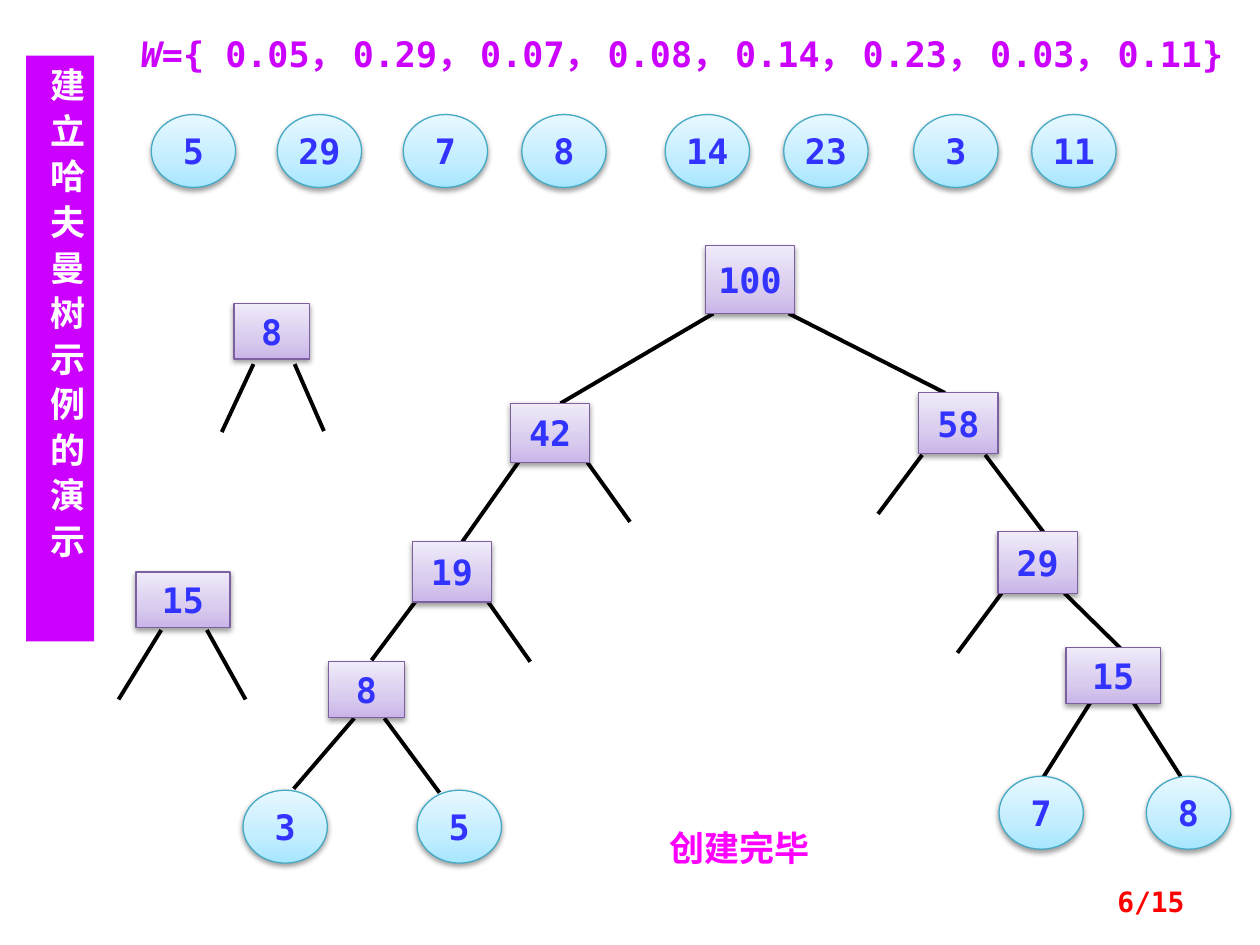
from typing import NamedTuple

from lxml.etree import SubElement
from pptx import Presentation
from pptx.dml.color import RGBColor
from pptx.enum.shapes import MSO_CONNECTOR, MSO_SHAPE
from pptx.enum.text import MSO_ANCHOR, PP_ALIGN
from pptx.oxml.ns import qn
from pptx.util import Cm, Pt

COLORS = {
    "line": "000000",
    "value": "3333FF",
    "purple": "CC00FF",
    "white": "FFFFFF",
    "done": "FF00FF",
    "page": "FF0000",
}
MONO = "DejaVu Sans Mono"
CJK = "Noto Sans CJK SC"


class Style(NamedTuple):
    shape: MSO_SHAPE
    line: str
    stops: tuple[tuple[int, str], ...]


class Node(NamedTuple):
    text: str
    x: float
    y: float
    w: float = 1.7
    h: float = 1.47


class Edge(NamedTuple):
    x1: float
    y1: float
    x2: float
    y2: float


LEAF = Style(MSO_SHAPE.OVAL, "46AAC5", ((0, "A7E6FF"), (35, "C1EDFF"), (100, "E7F8FF")))
INNER = Style(MSO_SHAPE.RECTANGLE, "7D60A0", ((0, "C9B5E8"), (35, "D8CBEE"), (100, "F0EAF9")))

WEIGHTS = [
    Node(text, x, 2.31)
    for text, x in (
        ("5", 3.05), ("29", 5.59), ("7", 8.13), ("8", 10.52),
        ("14", 13.41), ("23", 15.8), ("3", 18.42), ("11", 20.8),
    )
]
TREE_LEAVES = [
    Node("3", 4.9, 15.93),
    Node("5", 8.41, 15.93),
    Node("7", 20.14, 15.65),
    Node("8", 23.11, 15.65),
]
INNER_NODES = [
    Node("8", 4.72, 6.12, 1.52, 1.12),
    Node("15", 2.74, 11.53, 1.9, 1.12),
    Node("8", 6.63, 13.34, 1.52, 1.12),
    Node("19", 8.31, 10.92, 1.6, 1.22),
    Node("15", 21.49, 13.06, 1.9, 1.12),
    Node("29", 20.12, 10.72, 1.6, 1.24),
    Node("42", 10.29, 8.13, 1.6, 1.19),
    Node("58", 18.52, 7.92, 1.6, 1.22),
    Node("100", 14.22, 4.95, 1.8, 1.37),
]
EDGES = [
    Edge(3.25, 12.7, 2.39, 14.1),
    Edge(4.17, 12.7, 4.95, 14.1),
    Edge(5.11, 7.34, 4.47, 8.71),
    Edge(5.94, 7.34, 6.53, 8.69),
    Edge(20.19, 11.96, 19.3, 13.16),
    Edge(21.46, 11.96, 22.63, 13.11),
    Edge(22.02, 14.1, 21.03, 15.67),
    Edge(22.81, 14.1, 23.8, 15.65),
    Edge(7.14, 14.48, 5.92, 15.9),
    Edge(7.75, 14.48, 8.86, 15.98),
    Edge(8.38, 12.12, 7.49, 13.31),
    Edge(9.83, 12.12, 10.69, 13.34),
    Edge(10.59, 9.12, 9.32, 10.92),
    Edge(11.84, 9.32, 12.7, 10.52),
    Edge(18.59, 9.17, 17.7, 10.36),
    Edge(19.86, 9.17, 21.03, 10.72),
    Edge(14.38, 6.32, 11.3, 8.13),
    Edge(15.9, 6.32, 19.05, 7.92),
]


def rgb(name: str) -> RGBColor:
    return RGBColor.from_string(COLORS[name])


def format_paragraph(p, color: str, align: PP_ALIGN, size: int = 20, face: str = MONO):
    p.alignment = align
    f = p.font
    f.size, f.bold, f.name = Pt(size), True, face
    f.color.rgb = rgb(color)
    props = p._p.pPr.find(qn("a:defRPr"))
    SubElement(props, qn("a:ea"), typeface=CJK)
    return props


def add_edge(slide, edge: Edge) -> None:
    s = slide.shapes.add_connector(MSO_CONNECTOR.STRAIGHT, *map(Cm, edge))
    s.line.color.rgb = rgb("line")
    s.line.width = Pt(2.25)
    SubElement(s._element.spPr, qn("a:effectLst"))


def add_stop(parent, tag: str, color: str, **attrs: str):
    holder = SubElement(parent, qn(tag), **attrs)
    return SubElement(holder, qn("a:srgbClr"), val=color)


def add_node(slide, node: Node, style: Style) -> None:
    s = slide.shapes.add_shape(style.shape, *map(Cm, node[1:]))
    s.fill.gradient()
    s.fill.gradient_angle = 90
    stops = s._element.spPr.find(".//" + qn("a:gsLst"))
    stops.clear()
    for pos, color in style.stops:
        add_stop(stops, "a:gs", color, pos=str(pos * 1000))
    s.line.color.rgb = RGBColor.from_string(style.line)
    s.line.width = Pt(0.75)
    s.shadow.inherit = False
    effects = s._element.spPr.find(qn("a:effectLst"))
    shade = add_stop(effects, "a:outerShdw", COLORS["line"], blurRad="40000",
                     dist="20000", dir="5400000", rotWithShape="0")
    SubElement(shade, qn("a:alpha"), val="38000")
    tf = s.text_frame
    tf.word_wrap = False
    tf.vertical_anchor = MSO_ANCHOR.MIDDLE
    p = tf.paragraphs[0]
    p.text = node.text
    format_paragraph(p, "value", PP_ALIGN.CENTER)


def add_label(slide, box: Node, color: str, align: PP_ALIGN, size: int = 20):
    s = slide.shapes.add_textbox(*map(Cm, box[1:]))
    tf = s.text_frame
    tf.word_wrap = True
    p = tf.paragraphs[0]
    p.add_run().text = box.text
    format_paragraph(p, color, align, size)
    return tf


def add_title(slide, box: Node) -> None:
    s = slide.shapes.add_shape(MSO_SHAPE.RECTANGLE, *map(Cm, box[1:]))
    s.shadow.inherit = False
    s.fill.solid()
    s.fill.fore_color.rgb = rgb("purple")
    s.line.fill.background()
    tf = s.text_frame
    tf.vertical_anchor = MSO_ANCHOR.TOP
    tf._txBody.bodyPr.set("vert", "eaVert")
    p = tf.paragraphs[0]
    p.text = box.text
    format_paragraph(p, "white", PP_ALIGN.LEFT, face=CJK).set("spc", "600")


def main() -> None:
    prs = Presentation()
    prs.slide_width, prs.slide_height = Cm(25.4), Cm(19.05)
    slide = prs.slides.add_slide(prs.slide_layouts[6])
    for edge in EDGES:
        add_edge(slide, edge)
    for nodes, style in ((WEIGHTS + TREE_LEAVES, LEAF), (INNER_NODES, INNER)):
        for node in nodes:
            add_node(slide, node, style)
    add_title(slide, Node("建立哈夫曼树示例的演示", 0.53, 1.12, 1.37, 11.81))
    tf = add_label(slide, Node("W", 2.59, 0.53, 22.78, 1.12), "purple", PP_ALIGN.LEFT)
    p = tf.paragraphs[0]
    p.runs[0].font.italic = True
    r = p.add_run()
    r.text = "={ 0.05， 0.29， 0.07， 0.08， 0.14， 0.23， 0.03， 0.11}"
    add_label(slide, Node("创建完毕", 12.9, 16.54, 4.01, 1.12), "done", PP_ALIGN.CENTER)
    tf = add_label(slide, Node("6/15", 18.21, 17.65, 5.92, 1.02), "page", PP_ALIGN.RIGHT, 16)
    tf.vertical_anchor = MSO_ANCHOR.MIDDLE
    prs.save("out.pptx")


if __name__ == "__main__":
    main()
